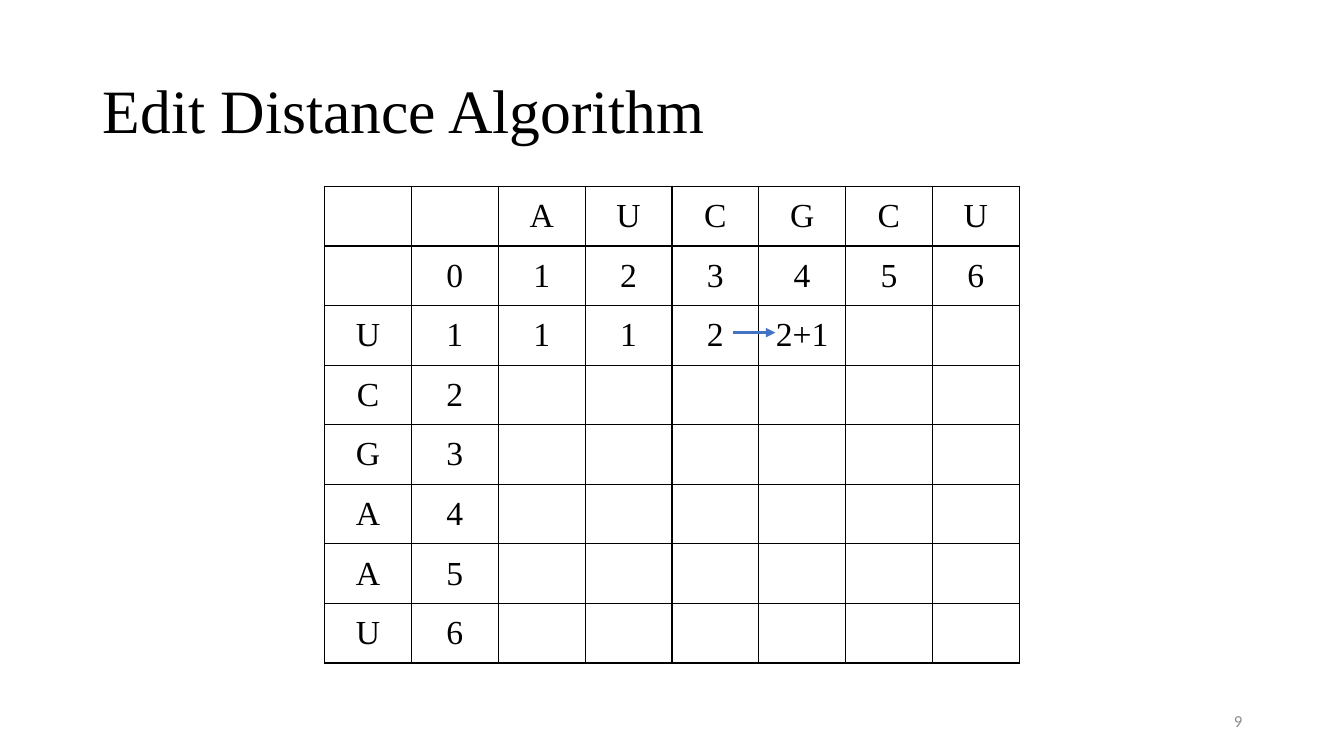
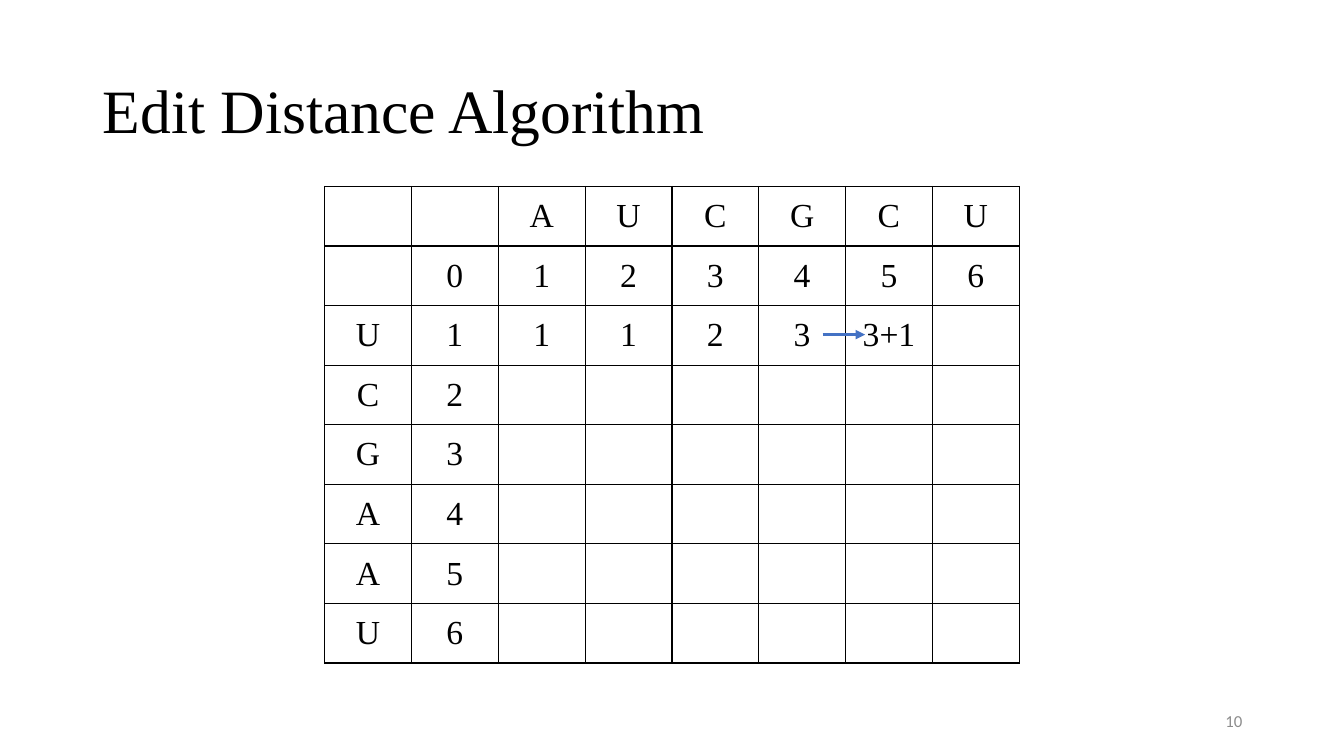
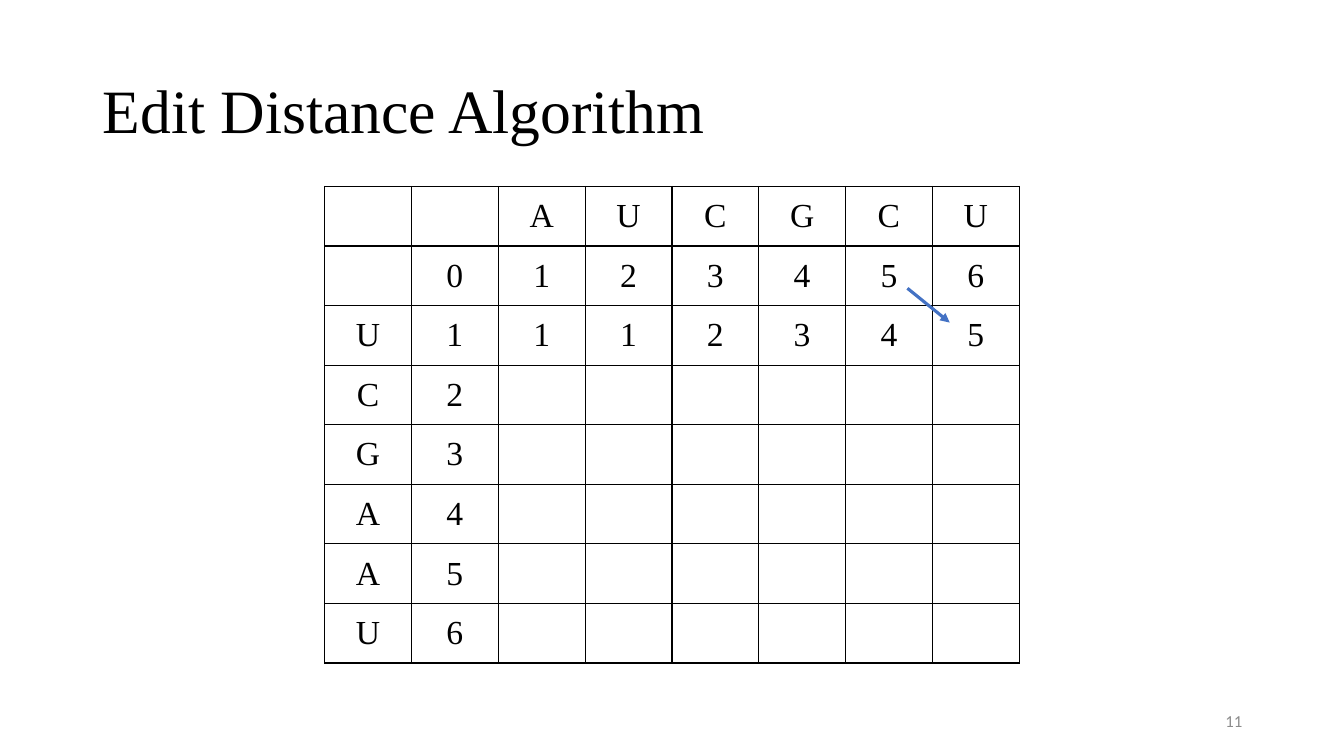
from dataclasses import dataclass
from typing import Any

from lxml import etree
from pptx import Presentation
from pptx.dml.color import RGBColor
from pptx.enum.shapes import MSO_CONNECTOR
from pptx.enum.text import MSO_ANCHOR, MSO_AUTO_SIZE, PP_ALIGN
from pptx.oxml import parse_xml
from pptx.oxml.ns import nsdecls, qn
from pptx.util import Inches, Pt

STRAIGHT = MSO_CONNECTOR.STRAIGHT
MIDDLE = MSO_ANCHOR.MIDDLE
NO_AUTOFIT = MSO_AUTO_SIZE.NONE
LEFT, CENTER, RIGHT = PP_ALIGN.LEFT, PP_ALIGN.CENTER, PP_ALIGN.RIGHT

BLACK = RGBColor(0x00, 0x00, 0x00)
WHITE = RGBColor(0xFF, 0xFF, 0xFF)
GREY = RGBColor(0x8C, 0x8C, 0x8C)
BLUE = RGBColor(0x44, 0x72, 0xC4)

TITLE = "Edit Distance Algorithm"
COLUMN_WORD = "AUCGCU"
ROW_WORD = "UCGAAU"
FIRST_NUMBER = 9
TITLE_ONLY_LAYOUT = 5

# Each box is left, top, width, height in inches
TITLE_BOX = (0.92, 0.4, 11.5, 1.45)
NUMBER_BOX = (9.42, 6.95, 3, 0.4)
TABLE_BOX = (3.22, 1.85, 6.89, 4.73)

BORDER_WIDTH = Pt(1)
ARROW_WIDTH = Pt(2.25)


@dataclass(frozen=True)
class TextStyle:
    font: dict[str, Any]
    color: RGBColor
    paragraph: dict[str, Any]


@dataclass(frozen=True)
class Step:
    """The values found so far in the first word row, and the move shown."""
    row_values: tuple[str, ...]
    arrow_start: tuple[float, float]
    arrow_end: tuple[float, float]


TITLE_STYLE = TextStyle({"name": "Times New Roman", "size": Pt(44)}, BLACK,
                        {"alignment": LEFT, "line_spacing": 0.9})
CELL_STYLE = TextStyle({"name": "Times New Roman", "size": Pt(24)}, BLACK,
                       {"alignment": CENTER})
NUMBER_STYLE = TextStyle({"name": "Calibri", "size": Pt(12)}, GREY,
                         {"alignment": RIGHT})
FRAME_FORMAT = {"word_wrap": True, "auto_size": NO_AUTOFIT,
                "vertical_anchor": MIDDLE}

STEPS = (
    Step(("1", "1", "2", "2+1"), (7.27, 3.3), (7.69, 3.3)),
    Step(("1", "1", "2", "3", "3+1"), (8.16, 3.32), (8.58, 3.32)),
    Step(("1", "1", "2", "3", "4", "5"), (9, 2.86), (9.42, 3.2)),
)


def set_attributes(target: Any, values: dict[str, Any]) -> None:
    for name, value in values.items():
        setattr(target, name, value)


def write_text(text_frame: Any, text: str, style: TextStyle) -> None:
    text_frame.text = text
    paragraph = text_frame.paragraphs[0]
    set_attributes(paragraph, style.paragraph)
    for font in [paragraph.font] + [run.font for run in paragraph.runs]:
        set_attributes(font, style.font)
        font.color.rgb = style.color


def add_title(slide: Any) -> None:
    title = slide.shapes.title
    box = [Inches(length) for length in TITLE_BOX]
    set_attributes(title, dict(zip(("left", "top", "width", "height"), box)))
    set_attributes(title.text_frame, FRAME_FORMAT)
    write_text(title.text_frame, TITLE, TITLE_STYLE)


def add_number(slide: Any, number: int) -> None:
    shape = slide.shapes.add_textbox(*map(Inches, NUMBER_BOX))
    set_attributes(shape.text_frame, FRAME_FORMAT)
    write_text(shape.text_frame, str(number), NUMBER_STYLE)


def add_borders(cell: Any) -> None:
    properties = cell._tc.get_or_add_tcPr()
    # Borders must come before the fill
    for position, side in enumerate(("lnL", "lnR", "lnT", "lnB")):
        border = parse_xml(
            f'<a:{side} {nsdecls("a")} w="{BORDER_WIDTH}"><a:solidFill>'
            f'<a:srgbClr val="{BLACK}"/></a:solidFill></a:{side}>')
        properties.insert(position, border)


def matrix_rows(row_values: tuple[str, ...]) -> list[list[str]]:
    """Header row, distances from the empty word, then one row per letter."""
    width = len(COLUMN_WORD) + 2
    rows = [["", "", *COLUMN_WORD],
            ["", *map(str, range(len(COLUMN_WORD) + 1))]]
    for index, letter in enumerate(ROW_WORD, start=1):
        found = row_values if index == 1 else ()
        row = [letter, str(index), *found]
        rows.append(row + [""] * (width - len(row)))
    return rows


def add_matrix(slide: Any, row_values: tuple[str, ...]) -> None:
    rows = matrix_rows(row_values)
    table = slide.shapes.add_table(
        len(rows), len(rows[0]), *map(Inches, TABLE_BOX)).table
    table.first_row = table.horz_banding = False
    for row_index, row in enumerate(rows):
        for column_index, text in enumerate(row):
            cell = table.cell(row_index, column_index)
            cell.vertical_anchor = MIDDLE
            cell.fill.solid()
            cell.fill.fore_color.rgb = WHITE
            add_borders(cell)
            write_text(cell.text_frame, text, CELL_STYLE)


def add_arrow(slide: Any, step: Step) -> None:
    arrow = slide.shapes.add_connector(
        STRAIGHT, *map(Inches, step.arrow_start + step.arrow_end))
    arrow.line.color.rgb = BLUE
    arrow.line.width = ARROW_WIDTH
    properties = arrow.element.spPr
    line = properties.find(qn("a:ln"))
    etree.SubElement(line, qn("a:tailEnd"), type="triangle")
    etree.SubElement(properties, qn("a:effectLst"))


def main() -> None:
    presentation = Presentation()
    presentation.slide_width = Inches(13.33)
    presentation.slide_height = Inches(7.5)
    layout = presentation.slide_layouts[TITLE_ONLY_LAYOUT]
    for number, step in enumerate(STEPS, start=FIRST_NUMBER):
        slide = presentation.slides.add_slide(layout)
        add_title(slide)
        add_number(slide, number)
        add_matrix(slide, step.row_values)
        add_arrow(slide, step)
    presentation.save("out.pptx")


if __name__ == "__main__":
    main()
